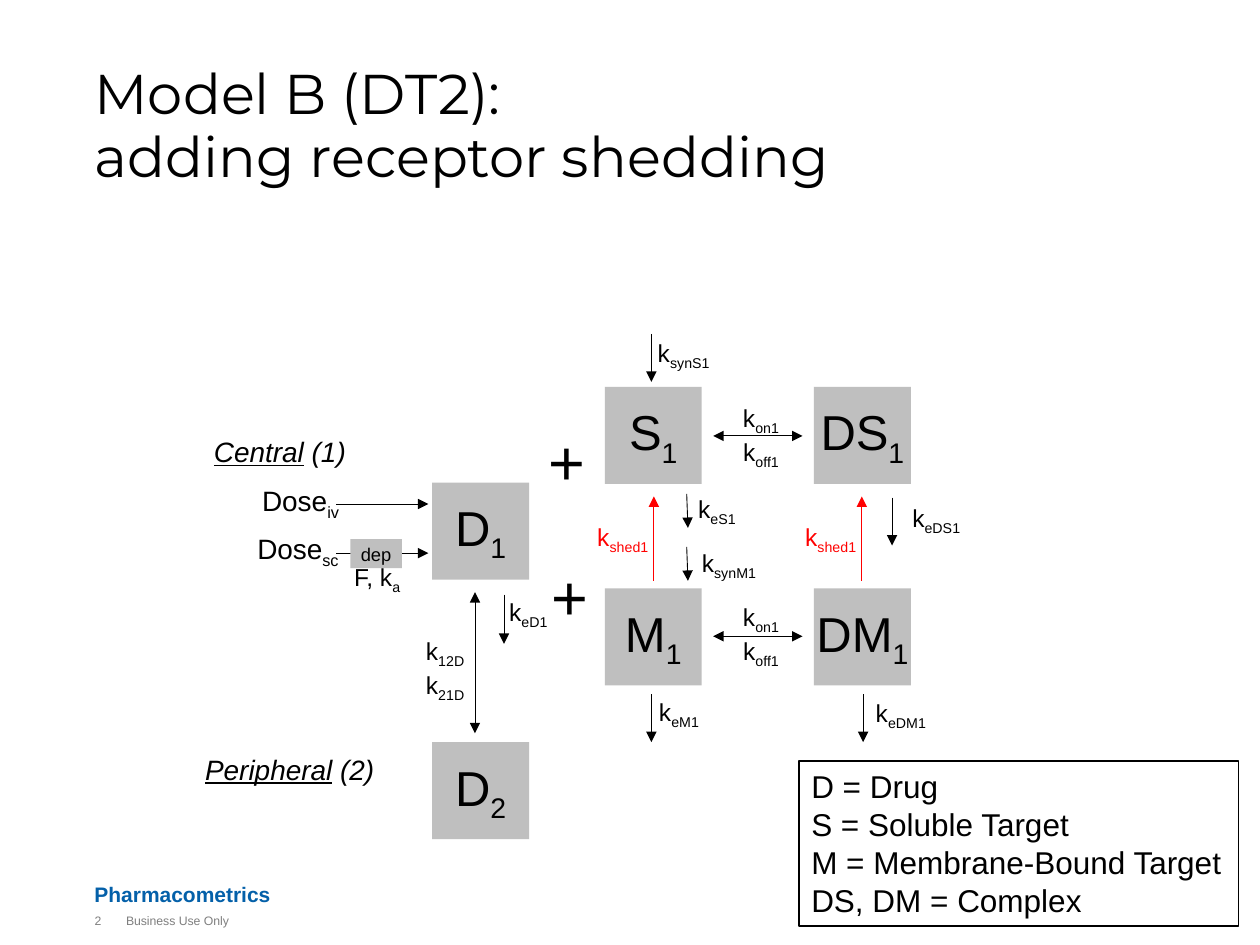
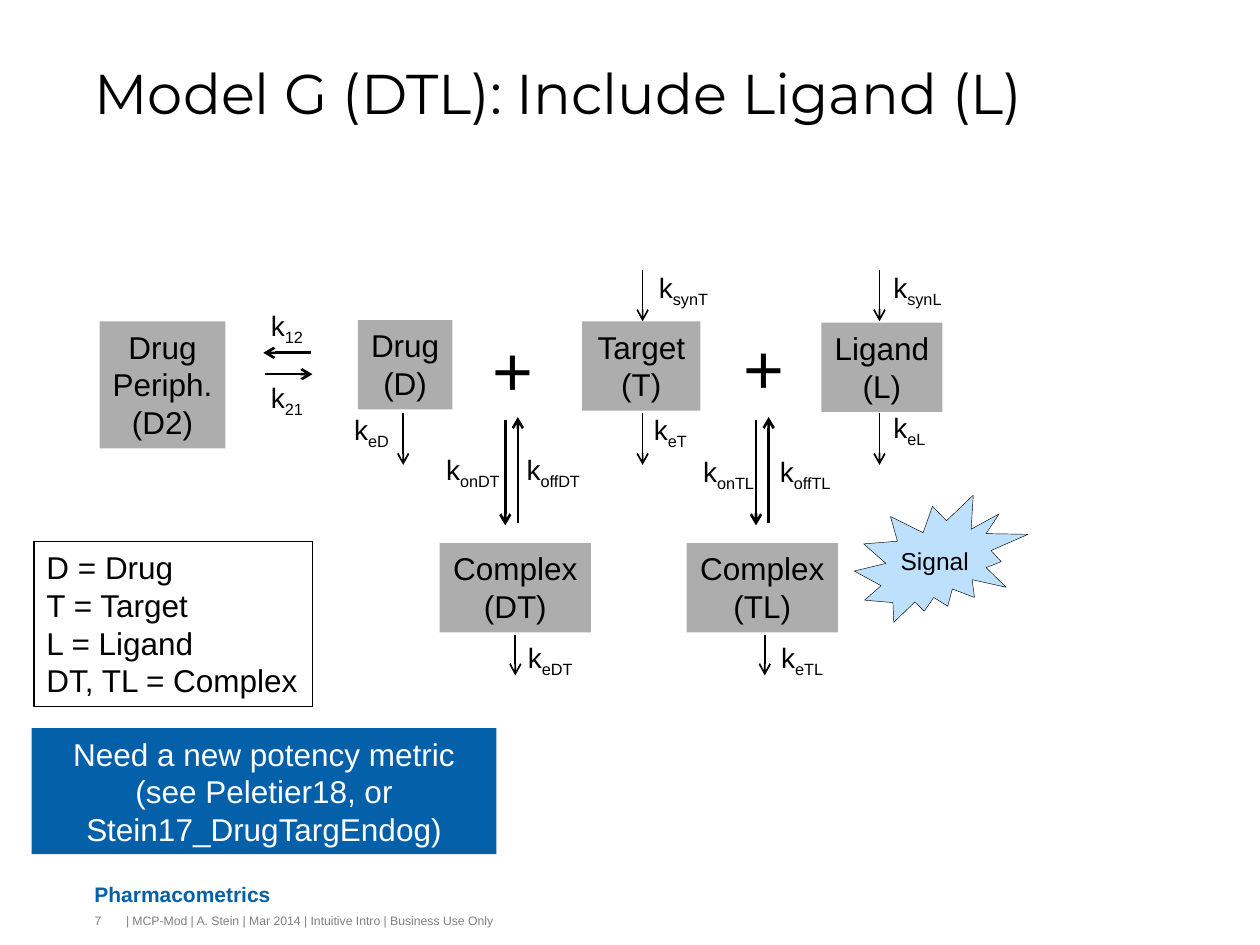
from dataclasses import dataclass
from lxml.etree import SubElement
from pptx import Presentation
from pptx.dml.color import RGBColor
from pptx.enum.shapes import MSO_CONNECTOR, MSO_SHAPE
from pptx.enum.text import MSO_ANCHOR, PP_ALIGN
from pptx.oxml.ns import qn
from pptx.util import Inches, Pt


@dataclass(frozen=True)
class Theme:
    body: str = "Arial"
    head: str = "Montserrat"
    black: str = "000000"
    white: str = "FFFFFF"
    red: str = "FF0000"
    blue: str = "0460A9"
    sky: str = "BDE1FD"
    pale: str = "BFBFBF"
    grey: str = "ADADAD"
    mute: str = "7F7F7F"
    title: float = 32
    state: float = 28
    block: float = 18
    label: float = 16
    rate: float = 14
    brand: float = 12
    depot: float = 10.5
    foot: float = 7


T = Theme()


@dataclass(frozen=True)
class Font:
    size: float
    ink: str = T.black
    face: str = T.body
    bold: bool = False
    slant: bool = False
    under: bool = False


@dataclass(frozen=True)
class Frame:
    align: PP_ALIGN = PP_ALIGN.LEFT
    anchor: MSO_ANCHOR = MSO_ANCHOR.TOP
    pad: bool = False
    wrap: bool = True


@dataclass(frozen=True)
class Label:
    x: float
    y: float
    text: str
    w: float = 0.72
    ink: str = T.black


@dataclass(frozen=True)
class Box:
    x: float
    y: float
    w: float
    h: float
    text: str


@dataclass(frozen=True)
class Arrow:
    x: float
    y: float
    dx: float
    dy: float
    ink: str = T.black
    both: bool = False


LEFT = Frame()
BASE = Frame(anchor=MSO_ANCHOR.BOTTOM)
MID = Frame(anchor=MSO_ANCHOR.MIDDLE)
CORE = Frame(PP_ALIGN.CENTER, MSO_ANCHOR.MIDDLE)
CENTRE = Frame(PP_ALIGN.CENTER)
TIGHT = Frame(PP_ALIGN.CENTER, wrap=False)
PADDED = Frame(pad=True)
LOOSE = Frame(pad=True, wrap=False)
BLOCK = Frame(PP_ALIGN.CENTER, pad=True, wrap=False)
NOTE = Frame(PP_ALIGN.CENTER, MSO_ANCHOR.MIDDLE, pad=True)


def add_run(para, text: str, font: Font, sub: bool = False) -> None:
    run = para.add_run()
    run.text = text
    style = run.font
    style.name, style.size = font.face, Pt(font.size)
    style.bold, style.italic, style.underline = font.bold, font.slant, font.under
    style.color.rgb = RGBColor.from_string(font.ink)
    if sub:
        run._r.get_or_add_rPr().set("baseline", "-25000")


def fill_text(shape, text: str, font: Font, frame: Frame) -> None:
    body = shape.text_frame
    body.word_wrap, body.vertical_anchor = frame.wrap, frame.anchor
    side, edge = (0.1, 0.05) if frame.pad else (0, 0)
    body.margin_left = body.margin_right = Inches(side)
    body.margin_top = body.margin_bottom = Inches(edge)
    for i, line in enumerate(text.split("\n")):
        para = body.add_paragraph() if i else body.paragraphs[0]
        para.alignment = frame.align
        for j, part in enumerate(line.split("~")):
            if part:
                add_run(para, part, font, sub=j == 1)


def add_text(slide, box: Box, font: Font, frame: Frame = LEFT):
    shape = slide.shapes.add_textbox(*map(Inches, (box.x, box.y, box.w, box.h)))
    fill_text(shape, box.text, font, frame)
    return shape


def add_box(slide, box: Box, fill: str, font: Font, frame: Frame,
            line: float = 0, kind: MSO_SHAPE = MSO_SHAPE.RECTANGLE) -> None:
    shape = slide.shapes.add_shape(kind, *map(Inches, (box.x, box.y, box.w, box.h)))
    shape.shadow.inherit = False
    shape.fill.solid()
    shape.fill.fore_color.rgb = RGBColor.from_string(fill)
    if line:
        shape.line.width = Pt(line)
        shape.line.color.rgb = RGBColor.from_string(T.black)
    else:
        shape.line.fill.background()
    fill_text(shape, box.text, font, frame)


def add_arrow(slide, arrow: Arrow, width: float, tip: str) -> None:
    ends = arrow.x, arrow.y, arrow.x + arrow.dx, arrow.y + arrow.dy
    line = slide.shapes.add_connector(MSO_CONNECTOR.STRAIGHT, *map(Inches, ends))
    line.line.width = Pt(width)
    line.line.color.rgb = RGBColor.from_string(arrow.ink)
    props = line._element.spPr
    for end in (("headEnd", "tailEnd") if arrow.both else ("tailEnd",)):
        SubElement(props.find(qn("a:ln")), qn(f"a:{end}"), type=tip)
    SubElement(props, qn("a:effectLst"))


def add_labels(slide, labels: list[Label], size: float, frame: Frame = LEFT) -> None:
    for label in labels:
        add_text(slide, Box(label.x, label.y, label.w, size / 60, label.text),
                 Font(size, label.ink), frame)


def add_plus(slide, box: Box, size: float, frame: Frame) -> None:
    add_text(slide, box, Font(size), frame)


def add_page(deck, title: str, number: str, foot: str):
    slide = deck.slides.add_slide(deck.slide_layouts[6])
    add_text(slide, Box(0.75, 6.95, 6.5, 0.25, "Pharmacometrics"),
             Font(T.brand, T.blue, bold=True), BASE)
    head = add_text(slide, Box(0.75, 0.5, 8.58, 1.05, ""), Font(T.title))
    para = head.text_frame.paragraphs[0]
    para.line_spacing = 0.95
    for i, line in enumerate(title.split("\n")):
        if i:
            para.add_line_break()
        add_run(para, line, Font(T.title, face=T.head))
    for x, w, text in ((0.75, 0.25, number), (1, 6.25, foot)):
        add_text(slide, Box(x, 7.25, w, 0.25, text), Font(T.foot, T.mute))
    return slide


def add_stage(slide, x: float, y: float, name: str, rest: str) -> None:
    shape = add_text(slide, Box(x, y, 2.4, 0.37, ""), Font(T.label), PADDED)
    para = shape.text_frame.paragraphs[0]
    add_run(para, name, Font(T.label, slant=True, under=True))
    add_run(para, rest, Font(T.label, slant=True))


def draw_shed(deck) -> None:
    slide = add_page(deck, "Model B (DT2): \nadding receptor shedding",
                     "2", "Business Use Only")
    add_box(slide, Box(6.34, 6.04, 3.49, 1.31,
                       "D = Drug\nS = Soluble Target\n"
                       "M = Membrane-Bound Target\nDS, DM = Complex"),
            T.white, Font(T.block), LOOSE, 0.75)

    drug, free, bound = 3.43, 4.8, 6.46
    side = 0.77
    for x, y, text in ((drug, 3.83, "D~1"), (drug, 5.89, "D~2"),
                       (free, 3.07, "S~1"), (bound, 3.07, "DS~1"),
                       (free, 4.67, "M~1"), (bound, 4.67, "DM~1")):
        add_box(slide, Box(x, y, side, side, text), T.pale, Font(T.state), CORE)
    for x, y in ((4.35, 3.35), (4.38, 4.42)):
        add_plus(slide, Box(x, y, 0.33, 0.61, "+"), 36, MID)

    for y, top in ((3.46, 3.2), (5.05, 4.78)):
        add_text(slide, Box(5.72, top, 0.64, 0.47, "k~on1\nk~off1"),
                 Font(T.rate), CENTRE)
        add_arrow(slide, Arrow(5.66, y, 0.71, 0, both=True), 0.5, "triangle")

    arrows = [Arrow(3.77, 5.82, 0, -1.12, both=True), Arrow(4, 4.72, 0, 0.39)]
    arrows += [Arrow(2.67, y, 0.73, 0) for y in (4, 4.39)]
    arrows += [Arrow(x, 4.61, 0, -0.67, T.red) for x in (5.19, 6.84)]
    arrows += [Arrow(5.45, y, 0.01, 0.27) for y in (3.92, 4.34)]
    arrows += [Arrow(x, y, 0, 0.38) for x, y in
               ((5.17, 2.65), (5.17, 5.51), (6.85, 5.51), (7.08, 3.95))]
    for arrow in arrows:
        add_arrow(slide, arrow, 0.5, "triangle")

    add_box(slide, Box(2.78, 4.28, 0.41, 0.23, "dep"), T.pale, Font(T.depot), CORE)
    add_labels(slide, [
        Label(4.04, 4.74, "k~eD1"), Label(3.38, 5.05, "k~12D\nk~21D"),
        Label(2.81, 4.46, "F, k~a"), Label(5.22, 2.68, "k~synS1"),
        Label(5.54, 3.92, "k~eS1"), Label(7.24, 3.99, "k~eDS1"),
        Label(5.57, 4.35, "k~synM1"), Label(5.23, 5.53, "k~eM1"),
        Label(6.95, 5.54, "k~eDM1"),
        Label(4.74, 4.14, "k~shed1", 0.5, T.red),
        Label(6.39, 4.14, "k~shed1", 0.5, T.red)], T.rate)
    add_labels(slide, [Label(2.07, 3.84, "Dose~iv", 0.63),
                       Label(2.03, 4.22, "Dose~sc", 0.67)], T.label, TIGHT)
    add_stage(slide, 1.6, 3.4, "Central", " (1)")
    add_stage(slide, 1.53, 5.92, "Peripheral", " (2)")


def draw_ligand(deck) -> None:
    slide = add_page(deck, "Model G (DTL): Include Ligand (L)", "7",
                     "| MCP-Mod | A. Stein | Mar 2014 | Intuitive Intro | Business Use Only")
    for box in (Box(0.79, 2.55, 1, 1.01, "Drug\nPeriph.\n(D2)"),
                Box(2.84, 2.54, 0.75, 0.71, "Drug\n(D)"),
                Box(4.62, 2.55, 0.94, 0.71, "Target\n(T)"),
                Box(6.52, 2.56, 0.96, 0.71, "Ligand\n(L)"),
                Box(3.49, 4.31, 1.2, 0.71, "Complex\n(DT)"),
                Box(5.45, 4.31, 1.2, 0.71, "Complex\n(TL)")):
        add_box(slide, box, T.grey, Font(T.block), BLOCK)
    for x, y in ((3.81, 2.54), (5.8, 2.53)):
        add_plus(slide, Box(x, y, 0.53, 0.77, "+"), 40, LOOSE)
    add_box(slide, Box(6.78, 3.93, 1.38, 1.01, "Signal"), T.sky,
            Font(T.rate), CORE, 0.25, MSO_SHAPE.EXPLOSION2)

    flows = [Arrow(x, 2.14, 0, 0.41) for x in (5.1, 6.98)]
    flows += [Arrow(x, 3.28, 0, 0.41) for x in (3.2, 5.1, 6.98)]
    flows += [Arrow(x, 5.04, 0, 0.32) for x in (4.09, 6.07)]
    for arrow in flows:
        add_arrow(slide, arrow, 1, "arrow")
    swaps = [Arrow(2.1, 2.97, 0.38, 0), Arrow(2.47, 2.8, -0.38, 0)]
    for x in (4.01, 6):
        swaps += [Arrow(x, 3.33, 0, 0.84), Arrow(x + 0.1, 4.15, 0, -0.84)]
    for arrow in swaps:
        add_arrow(slide, arrow, 1.5, "arrow")

    add_labels(slide, [
        Label(2.15, 2.45, "k~12"), Label(2.15, 3.02, "k~21"),
        Label(5.23, 2.15, "k~synT"), Label(7.09, 2.15, "k~synL"),
        Label(2.81, 3.27, "k~eD"), Label(5.19, 3.27, "k~eT"),
        Label(7.09, 3.26, "k~eL"),
        Label(3.54, 3.59, "k~onDT"), Label(4.18, 3.59, "k~offDT"),
        Label(5.58, 3.61, "k~onTL"), Label(6.19, 3.61, "k~offTL"),
        Label(4.19, 5.08, "k~eDT"), Label(6.2, 5.08, "k~eTL")], T.label)
    add_box(slide, Box(0.25, 5.78, 3.69, 1,
                       "Need a new potency metric (see Peletier18, or Stein17_DrugTargEndog)"),
            T.blue, Font(T.block, T.white), NOTE)
    add_box(slide, Box(0.27, 4.3, 2.21, 1.31,
                       "D = Drug\nT = Target\nL = Ligand\nDT, TL = Complex"),
            T.white, Font(T.block), LOOSE, 0.75)


deck = Presentation()
deck.slide_width, deck.slide_height = Inches(10), Inches(7.5)
draw_shed(deck)
draw_ligand(deck)
deck.save("out.pptx")
